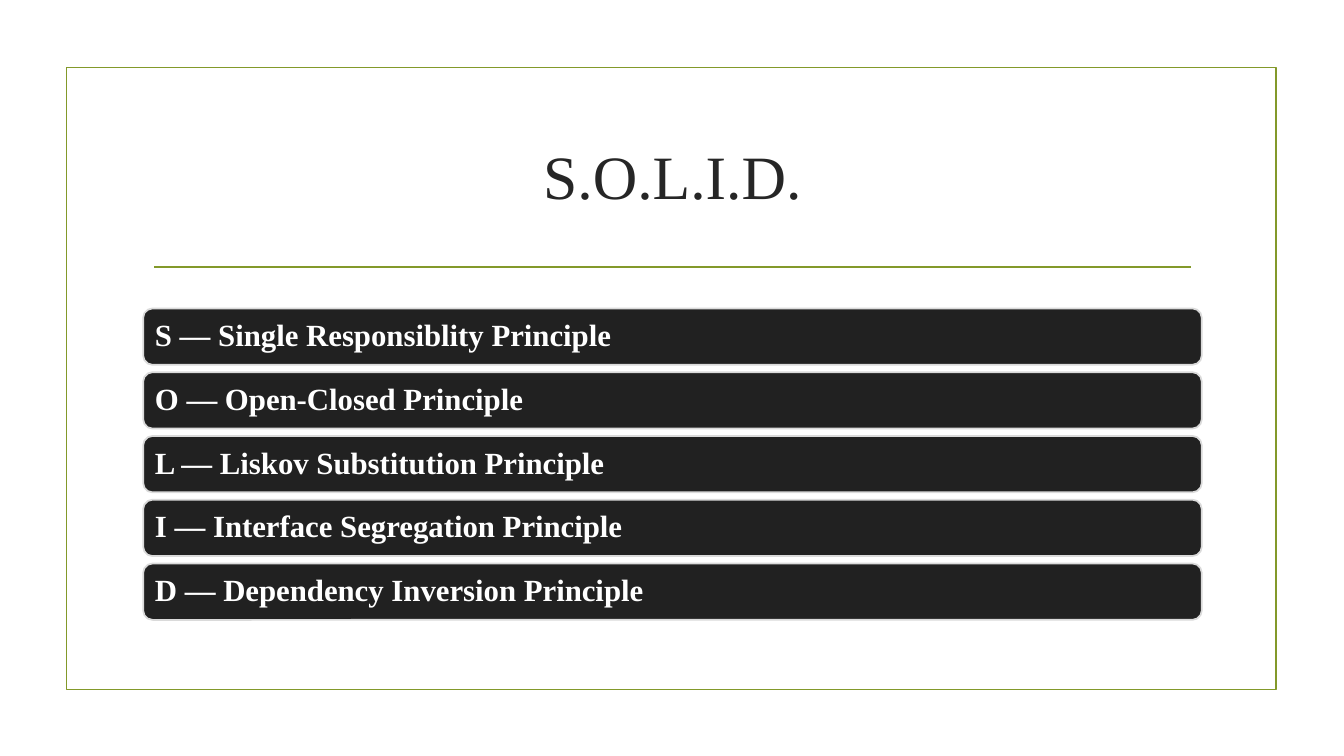
from dataclasses import dataclass

from lxml import etree
from pptx import Presentation
from pptx.dml.color import RGBColor
from pptx.enum.shapes import MSO_CONNECTOR, MSO_SHAPE
from pptx.enum.text import MSO_ANCHOR, PP_ALIGN
from pptx.oxml.ns import qn
from pptx.util import Inches, Pt

RECTANGLE = MSO_SHAPE.RECTANGLE
ROUNDED = MSO_SHAPE.ROUNDED_RECTANGLE
STRAIGHT = MSO_CONNECTOR.STRAIGHT
MIDDLE = MSO_ANCHOR.MIDDLE
LEFT, CENTER = PP_ALIGN.LEFT, PP_ALIGN.CENTER


@dataclass(frozen=True)
class Theme:
    """Colours, font and type sizes of the slide."""
    font: str = "Times New Roman"
    accent: str = "83992A"
    ink: str = "262626"
    bar: str = "212121"
    bar_edge: str = "DADADA"
    bar_text: str = "FFFFFF"
    title_size: int = 44
    bar_size: int = 22
    line_width: float = 1.25


THEME = Theme()
PRINCIPLES = [
    "S — Single Responsiblity Principle",
    "O — Open-Closed Principle",
    "L — Liskov Substitution Principle",
    "I — Interface Segregation Principle",
    "D — Dependency Inversion Principle",
]
CONTENT_LEFT, CONTENT_WIDTH = 1.42, 10.5
BAR_TOP, BAR_HEIGHT, BAR_PITCH = 3.06, 0.56, 0.6325


def apply(target, values):
    """Set each named attribute of the target."""
    for name, value in values.items():
        setattr(target, name, value)


def style_line(line, color):
    """Give a line its colour and the common width."""
    line.color.rgb = RGBColor.from_string(color)
    line.width = Pt(THEME.line_width)


def write_text(box, text, size, color, bold, align, inset):
    """Write one formatted paragraph, centred vertically in the box."""
    frame = box.text_frame
    margins = {f"margin_{side}": Inches(inset)
               for side in ("left", "top", "right", "bottom")}
    apply(frame, {"word_wrap": True, "vertical_anchor": MIDDLE, **margins})
    para = frame.paragraphs[0]
    apply(para, {"alignment": align, "line_spacing": 0.9})
    span = para.add_run()
    span.text = text
    apply(span.font, {"name": THEME.font, "size": Pt(size), "bold": bold})
    span.font.color.rgb = RGBColor.from_string(color)


def add_panel(page, kind, left, top, width, height, edge, fill=None):
    """Add an outlined shape, filled when a fill colour is given."""
    panel = page.shapes.add_shape(
        kind, Inches(left), Inches(top), Inches(width), Inches(height))
    panel.shadow.inherit = False
    if fill:
        panel.fill.solid()
        panel.fill.fore_color.rgb = RGBColor.from_string(fill)
    else:
        panel.fill.background()
    style_line(panel.line, edge)
    return panel


def add_rule(page, left, right, top):
    """Add the horizontal rule below the title."""
    rule = page.shapes.add_connector(
        STRAIGHT, Inches(left), Inches(top), Inches(right), Inches(top))
    style_line(rule.line, THEME.accent)
    etree.SubElement(rule._element.spPr, qn("a:effectLst"))


def set_title(page, text):
    """Place and format the title placeholder."""
    title = page.shapes.title
    apply(title, {"left": Inches(CONTENT_LEFT), "top": Inches(1.07),
                  "width": Inches(CONTENT_WIDTH), "height": Inches(1.43)})
    write_text(title, text, THEME.title_size, THEME.ink, False, CENTER, 0.05)


def add_principles(page):
    """Stack one bar for each principle at an equal pitch."""
    for index, principle in enumerate(PRINCIPLES):
        bar = add_panel(page, ROUNDED, CONTENT_LEFT,
                        BAR_TOP + index * BAR_PITCH, CONTENT_WIDTH,
                        BAR_HEIGHT, THEME.bar_edge, THEME.bar)
        write_text(bar, principle, THEME.bar_size, THEME.bar_text,
                   True, LEFT, 0.09)


def main():
    """Build the slide and save the deck."""
    deck = Presentation()
    apply(deck, {"slide_width": Inches(13.33), "slide_height": Inches(7.5)})
    page = deck.slides.add_slide(deck.slide_layouts.get_by_name("Title Only"))
    add_panel(page, RECTANGLE, 0.66, 0.67, 12, 6.17, THEME.accent)
    add_rule(page, 1.53, 11.81, 2.65)
    set_title(page, "S.O.L.I.D.")
    add_principles(page)
    deck.save("out.pptx")


if __name__ == "__main__":
    main()
